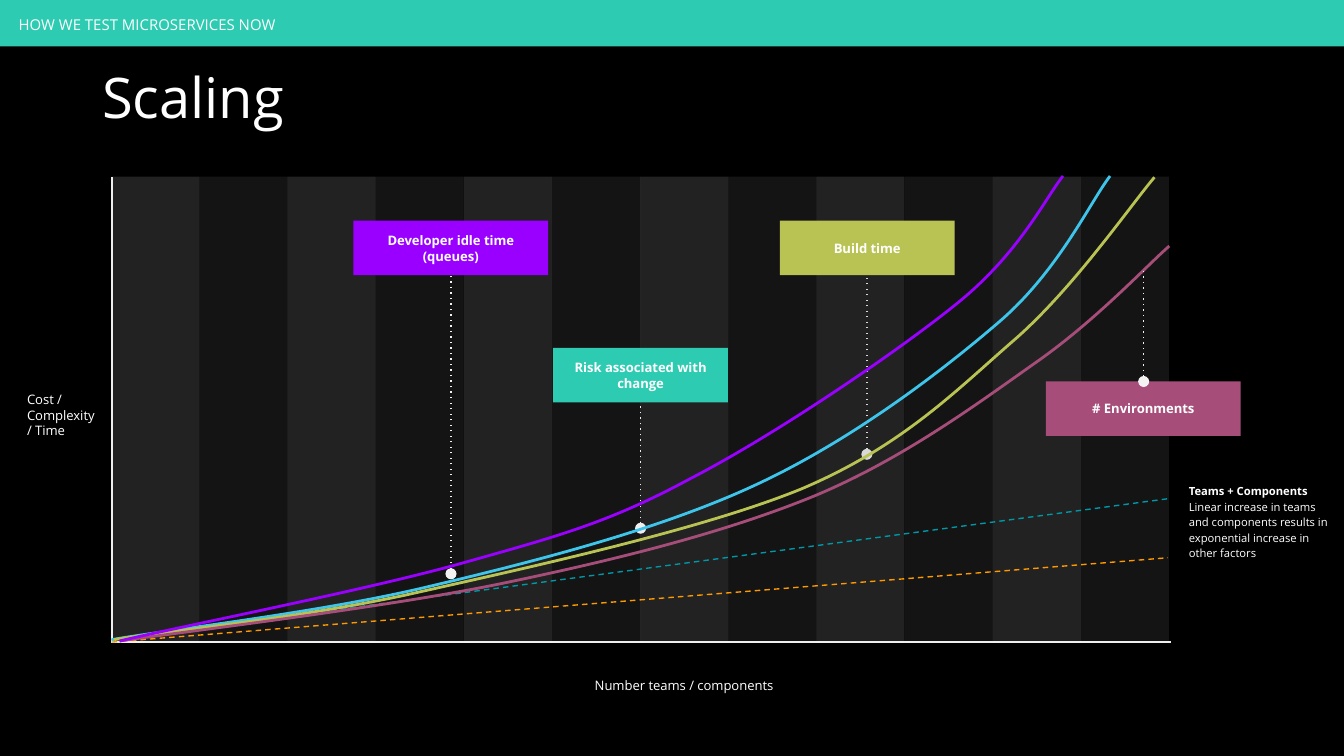
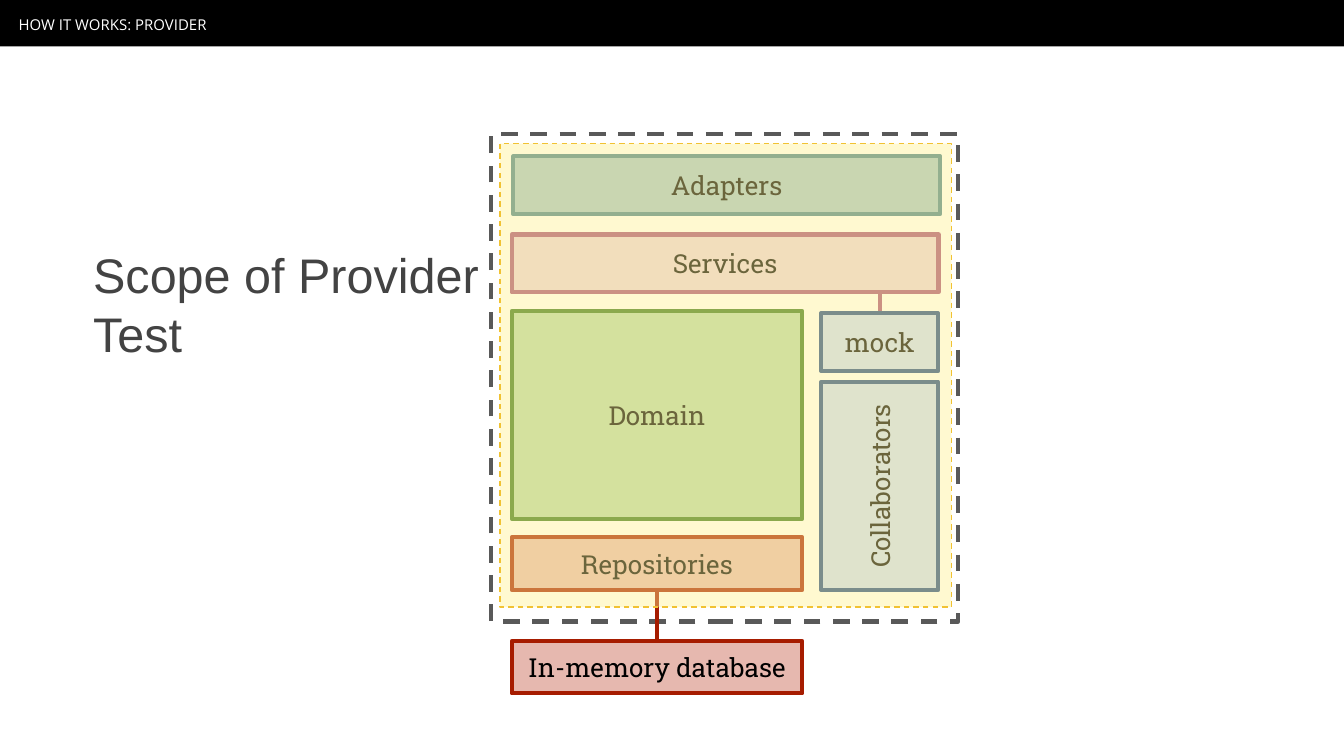
from lxml import etree
from pptx import Presentation
from pptx.dml.color import RGBColor
from pptx.enum import shapes, text
from pptx.oxml.ns import qn
from pptx.util import Pt

BLACK = RGBColor(0x00, 0x00, 0x00)
WHITE = RGBColor(0xFF, 0xFF, 0xFF)
TEAL = RGBColor(0x2D, 0xCB, 0xB1)
STRIPE = RGBColor(0xCC, 0xCC, 0xCC)
AXIS = RGBColor(0xEF, 0xEF, 0xEF)
POINTER = RGBColor(0xF3, 0xF3, 0xF3)
POINTER_GREY = RGBColor(0xD9, 0xD9, 0xD9)
VIOLET = RGBColor(0x99, 0x00, 0xFF)
CYAN = RGBColor(0x3D, 0xC5, 0xEC)
OLIVE = RGBColor(0xB9, 0xC3, 0x53)
PLUM = RGBColor(0xA6, 0x4D, 0x79)
ORANGE = RGBColor(0xFF, 0x99, 0x00)
DEEP_TEAL = RGBColor(0x00, 0x97, 0xA7)
TITLE_GREY = RGBColor(0x43, 0x43, 0x43)
FRAME_GREY = RGBColor(0x59, 0x59, 0x59)
ADAPTER_FILL = RGBColor(0xA2, 0xC4, 0xC9)
ADAPTER_EDGE = RGBColor(0x45, 0x81, 0x8E)
SERVICE_FILL = RGBColor(0xEA, 0xD1, 0xDC)
DOMAIN_FILL = RGBColor(0xB6, 0xD7, 0xA8)
DOMAIN_EDGE = RGBColor(0x38, 0x76, 0x1D)
DATA_FILL = RGBColor(0xE6, 0xB8, 0xAF)
DATA_EDGE = RGBColor(0xA6, 0x1C, 0x00)
PARTNER_FILL = RGBColor(0xC9, 0xDA, 0xF8)
PARTNER_EDGE = RGBColor(0x1C, 0x45, 0x87)
SCOPE_FILL = RGBColor(0xFF, 0xF1, 0x91)
SCOPE_EDGE = RGBColor(0xF1, 0xC2, 0x32)

SANS = "Open Sans"
SLAB = "Roboto Slab"
CENTER = text.PP_ALIGN.CENTER
LEFT = text.PP_ALIGN.LEFT
MIDDLE = text.MSO_ANCHOR.MIDDLE
TOP = text.MSO_ANCHOR.TOP


def add_box(page, place, fill=None, edge=None, width=2.25, dash=None, alpha=None,
            words=None, size=7, font=SANS, colour=WHITE, bold=False,
            align=CENTER, anchor=MIDDLE, spacing=1.0):
    place = [Pt(length) for length in place]
    if fill is None and edge is None:
        box = page.shapes.add_textbox(*place)
    else:
        box = page.shapes.add_shape(shapes.MSO_SHAPE.RECTANGLE, *place)
        box.shadow.inherit = False
        if fill is None:
            box.fill.background()
        else:
            box.fill.solid()
            box.fill.fore_color.rgb = fill
        if alpha:
            shade = next(box._element.spPr.iter(qn("a:srgbClr")))
            etree.SubElement(shade, qn("a:alpha"), val=str(alpha * 1000))
        if edge is None:
            box.line.fill.background()
        else:
            box.line.color.rgb = edge
            box.line.width = Pt(width)
        if dash:
            etree.SubElement(box.line._get_or_add_ln(), qn("a:prstDash"), val=dash)
    if words:
        frame = box.text_frame
        frame.word_wrap = True
        frame.vertical_anchor = anchor
        frame.margin_left = frame.margin_right = Pt(7.2)
        frame.margin_top = frame.margin_bottom = Pt(7.2)
        frame.text = words
        for para in frame.paragraphs:
            para.alignment = align
            para.line_spacing = spacing
            para.font.size = Pt(size)
            para.font.name = font
            para.font.bold = bold
            para.font.color.rgb = colour
    return box


def add_line(page, ends, colour, width=0.75, dash=None, head=None):
    line = page.shapes.add_connector(
        shapes.MSO_CONNECTOR.STRAIGHT, *[Pt(length) for length in ends])
    line.line.color.rgb = colour
    line.line.width = Pt(width)
    outline = line.line._get_or_add_ln()
    if dash:
        etree.SubElement(outline, qn("a:prstDash"), val=dash)
    if head:
        etree.SubElement(outline, qn("a:headEnd"), type=head)
    etree.SubElement(line._element.spPr, qn("a:effectLst"))


deck = Presentation()
deck.slide_width = Pt(720)
deck.slide_height = Pt(405)

pages = []
for heading, backdrop, band in [
    ("HOW WE TEST MICROSERVICES NOW", BLACK, TEAL),
    ("HOW IT WORKS: PROVIDER", WHITE, BLACK),
]:
    page = deck.slides.add_slide(deck.slide_layouts[6])
    page.background.fill.solid()
    page.background.fill.fore_color.rgb = backdrop
    add_box(page, (0, 0, 720, 24.9), band)
    add_box(page, (2.9, 2.4, 635.8, 20), words=heading, size=8, align=LEFT, spacing=1.15)
    pages.append(page)
scaling, provider = pages

STRIPE_WIDTH = 47.22
for index in range(12):
    add_box(scaling, (59.6 + index * STRIPE_WIDTH, 94.6, STRIPE_WIDTH, 249),
            STRIPE, alpha=10 if index % 2 else 17)

add_box(scaling, (47.7, 26.6, 312, 44), words="Scaling", size=30, align=LEFT, anchor=TOP)
add_line(scaling, (60, 95, 60, 343.8), AXIS)
add_line(scaling, (59.6, 344, 627.2, 344), AXIS)
add_box(scaling, (7.4, 194.8, 54, 55), words="Cost / Complexity / Time", align=LEFT)
add_box(scaling, (301.7, 358.6, 129.6, 21), words="Number teams / components", anchor=TOP)

for x, start, end, colour in [
    (241.6, 307.4, 147.6, POINTER),
    (343.2, 283, 206.6, AXIS),
    (464.4, 243.4, 147.6, POINTER_GREY),
]:
    add_line(scaling, (x, start, x, end), colour, dash="dot", head="oval")

add_line(scaling, (59.8, 344, 625.7, 298.8), ORANGE, dash="dash")
add_line(scaling, (59.8, 342.7, 626.4, 267.1), DEEP_TEAL, dash="dash")

for words, left, top, width, fill in [
    ("Build time", 417.8, 118.3, 93.6, OLIVE),
    ("# Environments", 560.3, 204.4, 104.4, PLUM),
    ("Risk associated with change", 296.4, 186.4, 93.6, TEAL),
    ("Developer idle time (queues)", 189.3, 118.3, 104.4, VIOLET),
]:
    add_box(scaling, (left, top, width, 29.2), fill, words=words, bold=True)

for colour, points in [
    (CYAN, [(59.8, 342.7), (87.8, 337.7), (170.6, 328.3), (228.2, 314.6),
            (285.8, 301), (353.5, 283.7), (404.6, 259.9), (455.8, 236.2),
            (504, 199.4), (535.7, 172.1), (567.4, 144.7), (584.6, 107.3),
            (594.7, 94.3)]),
    (OLIVE, [(61.2, 342.7), (87.1, 338.4), (155.5, 331.9), (216.7, 319),
             (277.9, 305.3), (374.4, 284.4), (429.1, 262.1), (483.8, 239),
             (512.6, 208.8), (544.3, 181.4), (576, 153.4), (606.2, 109.4),
             (618.5, 95)]),
    (PLUM, [(64.1, 343.4), (98.6, 338.4), (207.4, 325.4), (269.3, 312.5),
            (331.9, 299.5), (388.8, 285.1), (436.3, 265.7), (484.6, 245.5),
            (524.9, 215.3), (556.6, 193), (588.2, 170.6), (614.9, 141.8),
            (626.4, 131.8)]),
    (VIOLET, [(64.1, 343.4), (94.3, 336.2), (196.6, 316.1), (247.7, 301.7),
              (298.8, 287.3), (326.2, 280.1), (370.1, 256.3), (414.7, 233.3),
              (479.5, 189.4), (512.6, 162.7), (546.5, 135.4), (560.2, 105.8),
              (569.5, 94.3)]),
]:
    start, *rest = [(Pt(x), Pt(y)) for x, y in points]
    builder = scaling.shapes.build_freeform(*start)
    builder.add_line_segments(rest, close=False)
    curve = builder.convert_to_shape()
    curve.shadow.inherit = False
    curve.fill.background()
    curve.line.color.rgb = colour
    curve.line.width = Pt(1.5)
    outline = next(curve._element.iter(qn("a:path")))
    steps = outline.findall(qn("a:lnTo"))
    for first in range(0, len(steps), 3):
        bend = etree.SubElement(outline, qn("a:cubicBezTo"))
        for step in steps[first:first + 3]:
            bend.append(step[0])
            outline.remove(step)

note = add_box(
    scaling, (629.8, 252, 90, 54.7), size=6, align=LEFT, spacing=1.15,
    words="Teams + Components\nLinear increase in teams and components "
          "results in exponential increase in other factors")
note.text_frame.paragraphs[0].font.bold = True
add_line(scaling, (612.7, 204.4, 612.7, 144), POINTER, dash="dot", head="oval")

add_box(provider, (263, 71.8, 250.4, 261.2), edge=FRAME_GREY, dash="dash")
title = add_box(provider, (42.8, 108.7, 226, 108), words="Scope of Provider Test",
                size=26, font="Arial", colour=TITLE_GREY, align=LEFT)
title.text_frame.margin_top = title.text_frame.margin_bottom = Pt(3.6)

add_line(provider, (471.6, 155.5, 471.6, 167.8), PLUM, 2.25)
for words, place, fill, edge, turn in [
    ("Adapters", (275, 83.8, 228.6, 31), ADAPTER_FILL, ADAPTER_EDGE, 0),
    ("Services", (274.2, 125.7, 228.6, 31), SERVICE_FILL, PLUM, 0),
    ("Domain", (274.2, 166.6, 155.6, 111.4), DOMAIN_FILL, DOMAIN_EDGE, 0),
    ("Repositories", (274.2, 287.8, 155.6, 28.4), DATA_FILL, DATA_EDGE, 0),
    ("Collaborators", (415.5, 229, 111.6, 62.6), PARTNER_FILL, PARTNER_EDGE, 270),
    ("mock", (440, 167.8, 62.6, 31), PARTNER_FILL, PARTNER_EDGE, 0),
    ("In-memory database", (274.2, 343.4, 155.6, 28.1), DATA_FILL, DATA_EDGE, 0),
]:
    layer = add_box(provider, place, fill, edge, words=words,
                    size=14, font=SLAB, colour=BLACK)
    layer.rotation = turn
add_line(provider, (352, 343.4, 352, 316.2), DATA_EDGE, 2.25)
add_box(provider, (267.8, 76.9, 241.9, 248.4), SCOPE_FILL, SCOPE_EDGE,
        width=0.75, dash="dash", alpha=42)

deck.save("out.pptx")
